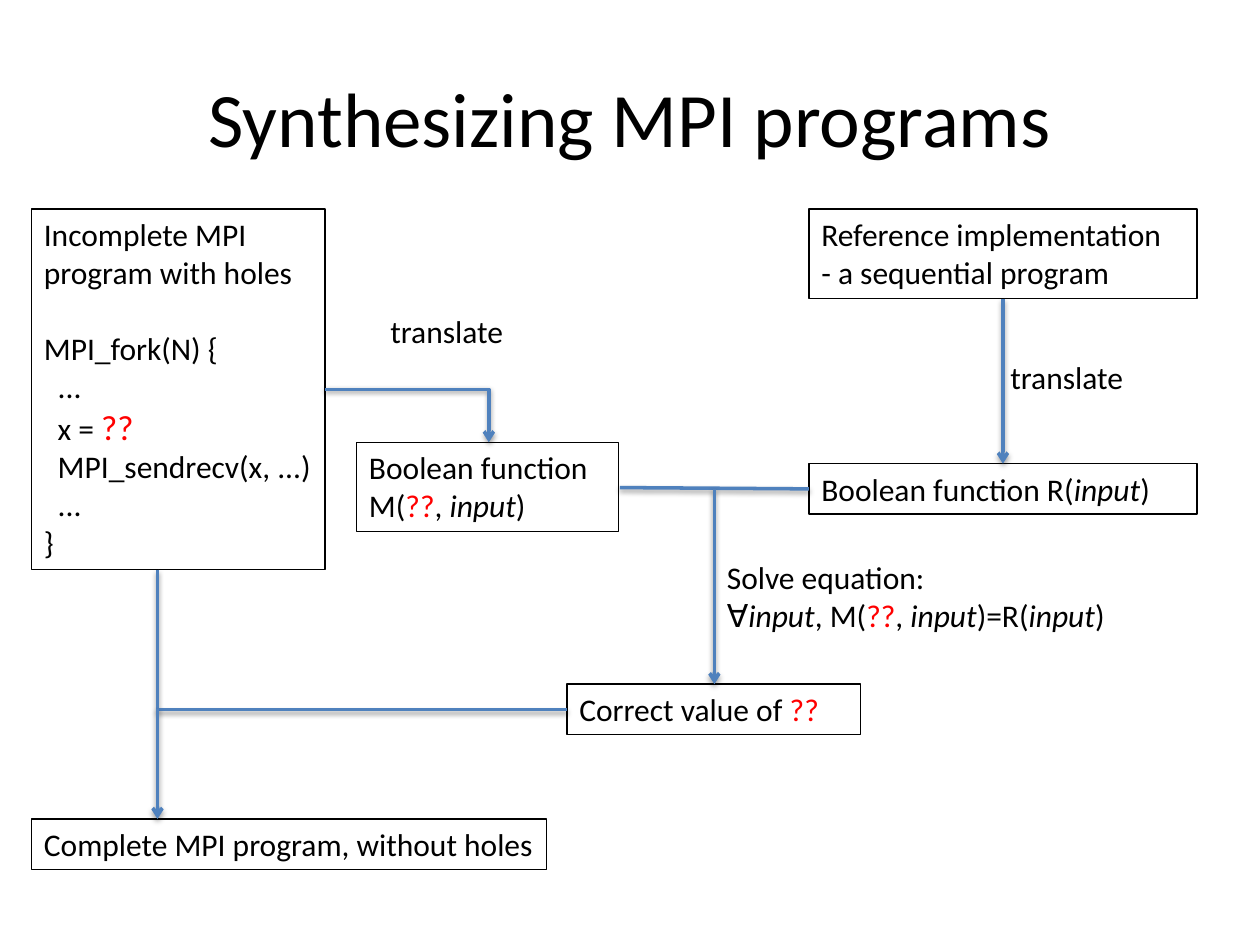
from lxml.etree import SubElement
from pptx import Presentation
from pptx.dml.color import RGBColor
from pptx.enum.shapes import MSO_CONNECTOR
from pptx.enum.text import MSO_ANCHOR, MSO_AUTO_SIZE, PP_ALIGN
from pptx.oxml.ns import qn
from pptx.util import Inches, Pt

COLORS = {"ink": "000000", "hole": "FF0000", "flow": "4F81BD"}
FONT = "Calibri"
SIZE = 18
TITLE = "Synthesizing MPI programs"

# "|" parts runs, ">" indents a line, "+" leaves a line of space above it
MARKS = {
    "??": ("??", "hole", False, SIZE),
    "^??": ("??", "hole", False, 20),
    "input": ("input", "ink", True, SIZE),
}
BOXES = [
    (0.25, 1.66, 2.33, 2.86, [
        "Incomplete MPI program with holes", "+MPI_fork(N) {", ">...",
        ">x = |^??", ">MPI_sendrecv(x, ...)", ">...", "}"]),
    (6.42, 1.66, 3.08, 0.71, ["Reference implementation", "- a sequential program"]),
    (2.83, 3.51, 2.08, 0.71, ["Boolean function", "M(|??|, |input|)"]),
    (6.42, 3.68, 3.08, 0.4, ["Boolean function R(|input|)"]),
    (4.5, 5.43, 2.33, 0.4, ["Correct value of |??"]),
    (0.25, 6.5, 4.09, 0.4, ["Complete MPI program, without holes"]),
]
LABELS = [
    (3, 2.43, 1.17, 0.4, ["translate"]),
    (7.92, 2.79, 1.17, 0.4, ["translate"]),
    (5.67, 4.38, 3.42, 0.71, [
        "Solve equation:", "∀|input|, M(|??|, |input|)=R(|input|)"]),
]
FLOWS = [
    (2.58, 3.09, 3.88, 3.51, "bentConnector2", True),
    (7.96, 2.37, 7.96, 3.68, "line", True),
    (4.92, 3.87, 6.42, 3.88, "line", False),
    (5.67, 3.88, 5.67, 5.43, "line", True),
    (1.25, 4.52, 4.5, 5.63, "bentConnector3", False),
    (1.25, 5.63, 1.25, 6.5, "line", True),
]


def color(name):
    return RGBColor.from_string(COLORS[name])


def add_line(para, line):
    if line.startswith("+"):
        para.space_before = Pt(22)
    if line.startswith(">"):
        para._p.get_or_add_pPr().set("marL", str(Inches(0.11)))
    para.font.name = FONT
    for part in line.lstrip("+>").split("|"):
        text, ink, slant, size = MARKS.get(part, (part, "ink", False, SIZE))
        run = para.add_run()
        run.text = text
        run.font.size = Pt(size)
        run.font.italic = slant
        run.font.color.rgb = color(ink)


def add_text(slide, x, y, w, h, lines, framed):
    box = slide.shapes.add_textbox(*map(Inches, (x, y, w, h)))
    frame = box.text_frame
    frame.word_wrap = True
    frame.auto_size = MSO_AUTO_SIZE.SHAPE_TO_FIT_TEXT
    if framed:
        box.line.color.rgb = color("ink")
        box.line.width = Pt(0.75)
    for i, line in enumerate(lines):
        add_line(frame.add_paragraph() if i else frame.paragraphs[0], line)


def add_flow(slide, x1, y1, x2, y2, kind, arrow):
    link = slide.shapes.add_connector(
        MSO_CONNECTOR.STRAIGHT, *map(Inches, (x1, y1, x2, y2)))
    link.line.color.rgb = color("flow")
    link.line.width = Pt(2)
    props = link._element.spPr
    geom = props.find(qn("a:prstGeom"))
    geom.set("prst", kind)
    if kind == "bentConnector3":
        SubElement(geom.find(qn("a:avLst")), qn("a:gd"), name="adj1", fmla="val 0")
    if arrow:
        SubElement(props.find(qn("a:ln")), qn("a:tailEnd"), type="arrow")
    shade = SubElement(
        SubElement(props, qn("a:effectLst")), qn("a:outerShdw"),
        blurRad=str(Pt(3.1)), dist=str(Pt(1.6)), dir="5400000", rotWithShape="0")
    tint = SubElement(shade, qn("a:srgbClr"), val=COLORS["ink"])
    SubElement(tint, qn("a:alpha"), val="38000")


def add_title(slide):
    frame = slide.shapes.add_textbox(*map(Inches, (0.5, 0.3, 9, 1.25))).text_frame
    frame.word_wrap = True
    frame.vertical_anchor = MSO_ANCHOR.MIDDLE
    para = frame.paragraphs[0]
    para.text = TITLE
    para.alignment = PP_ALIGN.CENTER
    para.font.name = FONT
    para.font.size = Pt(44)
    para.font.color.rgb = color("ink")


def main():
    deck = Presentation()
    deck.slide_width, deck.slide_height = Inches(10), Inches(7.5)
    slide = deck.slides.add_slide(deck.slide_layouts[6])
    add_title(slide)
    for box in BOXES:
        add_text(slide, *box, framed=True)
    for flow in FLOWS:
        add_flow(slide, *flow)
    for label in LABELS:
        add_text(slide, *label, framed=False)
    deck.save("out.pptx")


if __name__ == "__main__":
    main()
